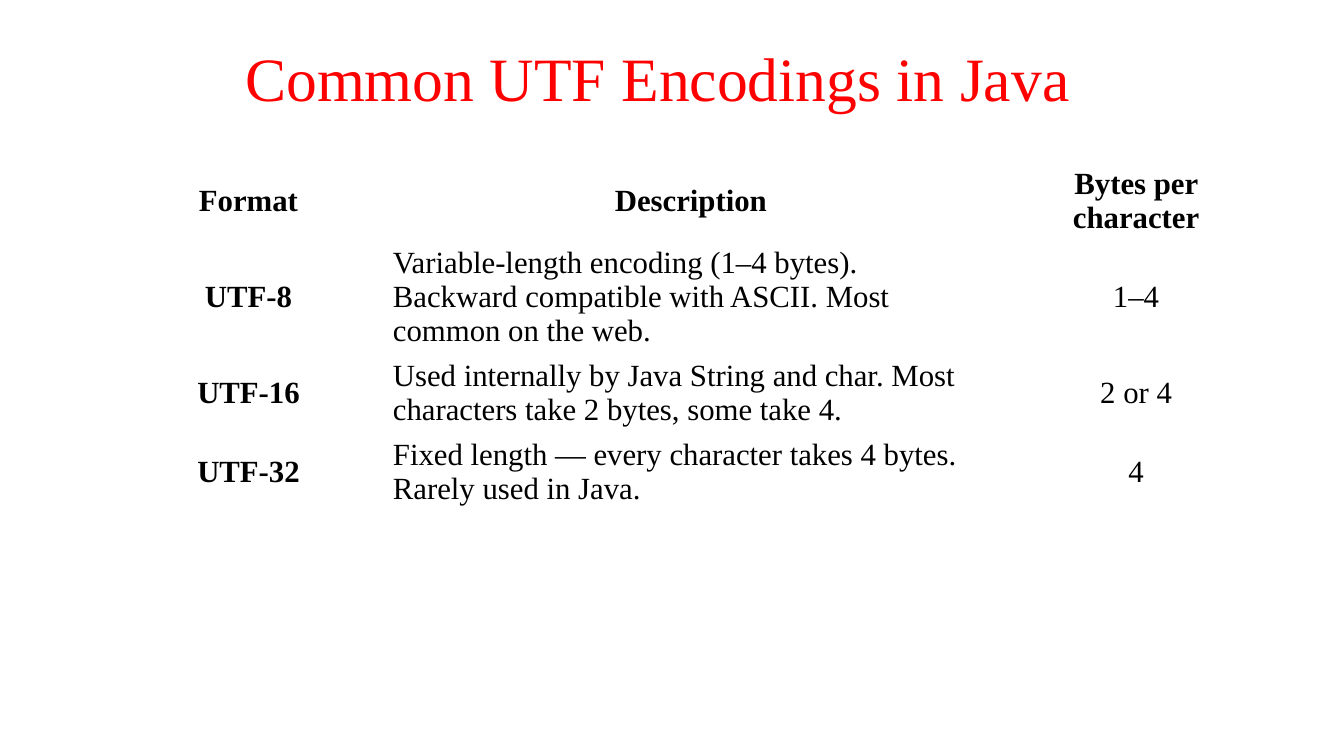
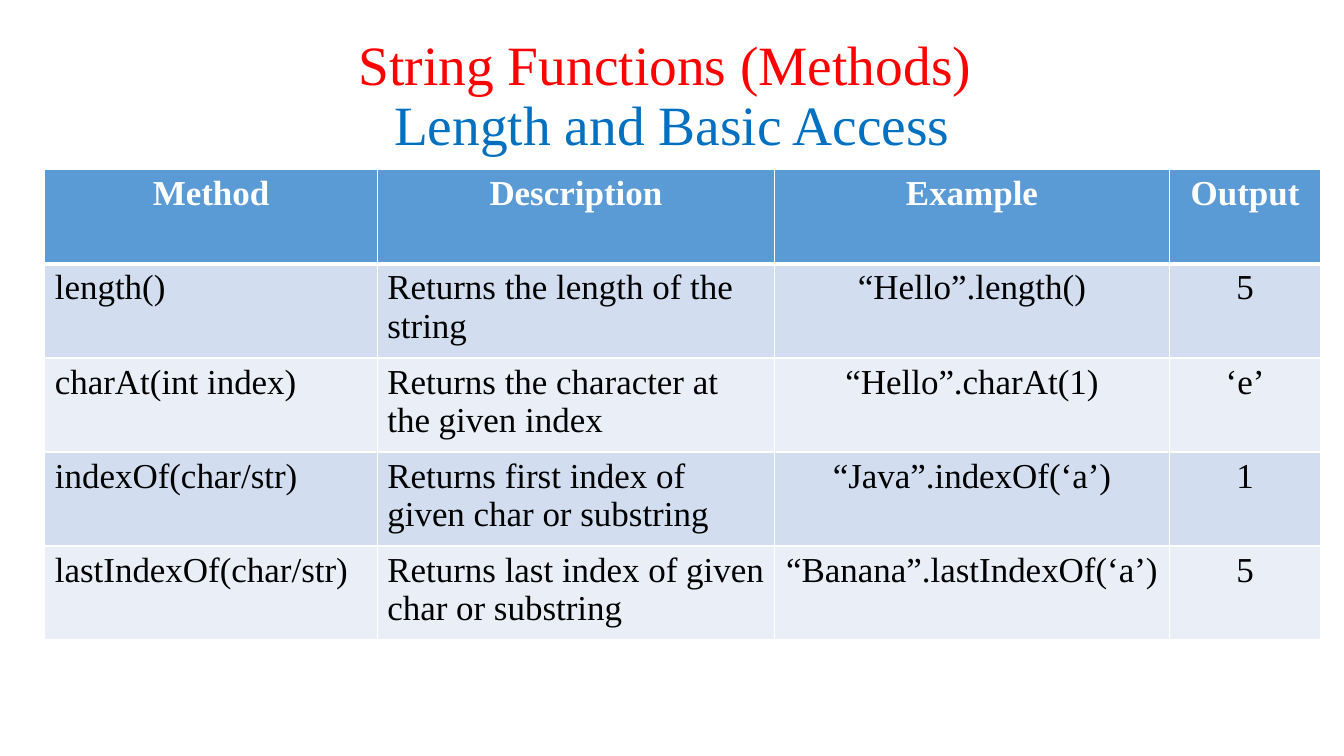
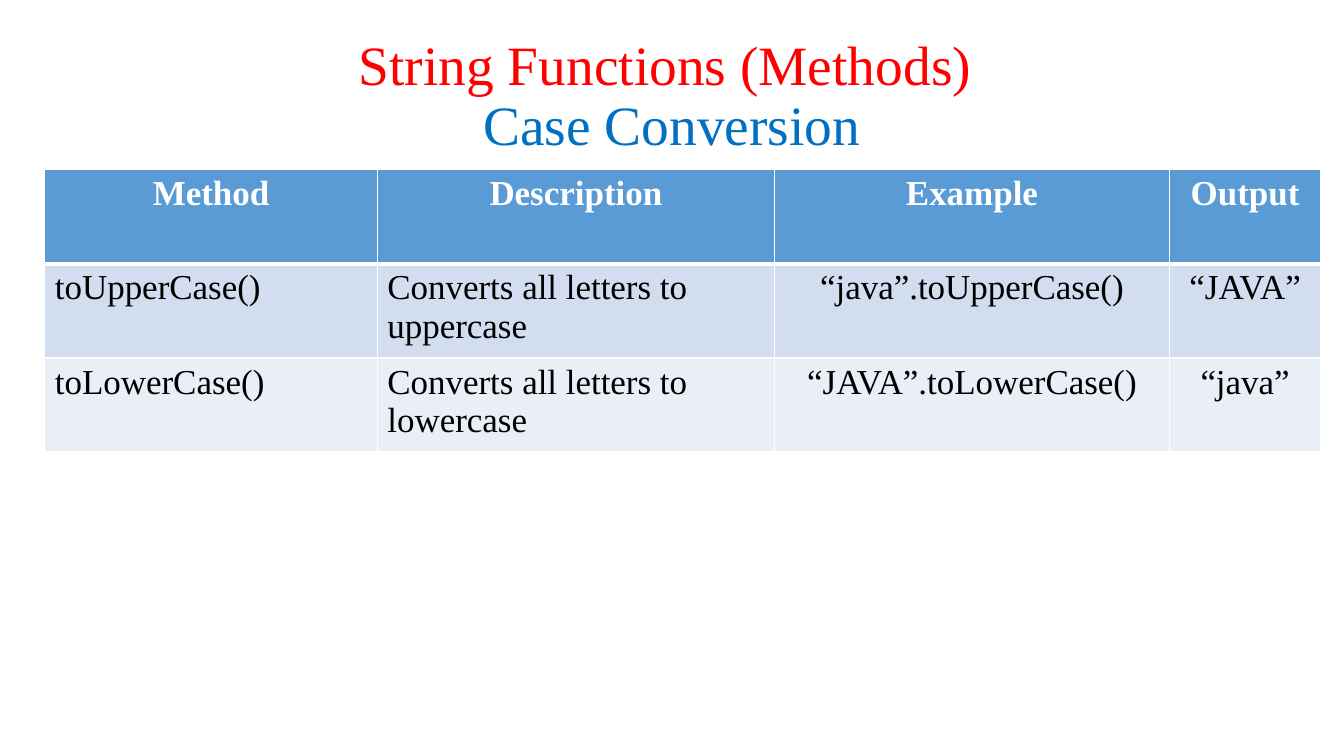
"""Build three slides about text encodings and string methods in Java."""
from dataclasses import dataclass

from lxml.etree import SubElement
from pptx import Presentation
from pptx.dml.color import RGBColor
from pptx.enum.text import MSO_ANCHOR, MSO_AUTO_SIZE, PP_ALIGN
from pptx.oxml.ns import qn
from pptx.util import Pt


@dataclass(frozen=True)
class Theme:
    """Hold the colours, the font and the type sizes."""
    font: str = "Times New Roman"
    red: RGBColor = RGBColor(0xFF, 0x00, 0x00)
    blue: RGBColor = RGBColor(0x00, 0x70, 0xC0)
    black: RGBColor = RGBColor(0x00, 0x00, 0x00)
    white: RGBColor = RGBColor(0xFF, 0xFF, 0xFF)
    head: RGBColor = RGBColor(0x5B, 0x9B, 0xD5)
    bands: tuple = (RGBColor(0xD2, 0xDE, 0xEF), RGBColor(0xEA, 0xEF, 0xF7))
    large: float = 44
    title: float = 39.6
    cell: float = 25
    small: float = 22
    plain: str = "{2D5ABB26-0587-4C30-8999-92F81FD0307C}"


def write(par, text, size, color, font, bold=False, align=PP_ALIGN.CENTER):
    """Add a formatted run to a paragraph."""
    par.alignment = align
    run = par.add_run()
    run.text = text
    run.font.name = font
    run.font.size = Pt(size)
    run.font.bold = bold
    run.font.color.rgb = color


def edge(cell, side, width, color):
    """Draw one border of a cell."""
    line = SubElement(cell._tc.get_or_add_tcPr(), qn(f"a:ln{side}"), w=str(Pt(width)))
    fill = SubElement(line, qn("a:solidFill"))
    SubElement(fill, qn("a:srgbClr"), val=str(color))


class Deck:
    """Hold the theme and the current slide."""

    def __init__(self, theme):
        self.theme = theme
        self.show = Presentation()
        self.show.slide_width, self.show.slide_height = Pt(960), Pt(540)
        self.slide = None

    def page(self):
        """Start a slide with a title only."""
        self.slide = self.show.slides.add_slide(self.show.slide_layouts[5])

    def title(self, lines, box, size, anchor=MSO_ANCHOR.MIDDLE, space=1.0):
        """Fill the title with lines of text and colour."""
        shape = self.slide.shapes.title
        shape.left, shape.top, shape.width, shape.height = map(Pt, box)
        frame = shape.text_frame
        frame.auto_size = MSO_AUTO_SIZE.NONE
        frame.word_wrap = True
        frame.vertical_anchor = anchor
        par = frame.paragraphs[0]
        par.line_spacing = space
        for i, (text, color) in enumerate(lines):
            if i:
                par.add_line_break()
            write(par, text, size, color, self.theme.font)

    def grid(self, rows, left, top, cols, highs):
        """Add a table without a style and return it."""
        table = self.slide.shapes.add_table(
            len(rows), len(cols), Pt(left), Pt(top), Pt(sum(cols)), Pt(sum(highs))
        ).table
        table._tbl.tblPr.find(qn("a:tableStyleId")).text = self.theme.plain
        table.horz_banding = False
        for col, width in zip(table.columns, cols):
            col.width = Pt(width)
        for row, high in zip(table.rows, highs):
            row.height = Pt(high)
        return table

    def forms(self, rows):
        """Add the open table of encodings."""
        look = self.theme
        table = self.grid(rows, 81.5, 116, (192, 440, 196), (56, 81, 56, 56))
        for r, row in enumerate(rows):
            for c, text in enumerate(row):
                cell = table.cell(r, c)
                cell.fill.background()
                cell.vertical_anchor = MSO_ANCHOR.MIDDLE
                align = PP_ALIGN.LEFT if r and c == 1 else PP_ALIGN.CENTER
                write(cell.text_frame.paragraphs[0], text, look.small, look.black,
                      look.font, bold=r == 0 or c == 0, align=align)

    def calls(self, rows):
        """Add the banded table of methods."""
        look = self.theme
        rows = [("Method", "Description", "Example", "Output"), *rows]
        table = self.grid(rows, 32, 121.3, (237.5, 283.7, 282.2, 108), [67.2] * len(rows))
        for r, row in enumerate(rows):
            for c, text in enumerate(row):
                cell = table.cell(r, c)
                sides = {"L": 1, "R": 1, "T": 3 if r == 1 else 1, "B": 1 if r else 3}
                for side, width in sides.items():
                    edge(cell, side, width, look.white)
                cell.fill.solid()
                cell.fill.fore_color.rgb = look.bands[(r - 1) % 2] if r else look.head
                align = PP_ALIGN.LEFT if r and c < 2 else PP_ALIGN.CENTER
                write(cell.text_frame.paragraphs[0], text, look.cell,
                      look.black if r else look.white, look.font,
                      bold=r == 0, align=align)

    def methods(self, topic, rows):
        """Add a slide on one group of string methods."""
        look = self.theme
        self.page()
        self.title([("String Functions (Methods) ", look.red), (topic, look.blue)],
                   (66, 29, 828, 81), look.title, space=0.9)
        self.calls(rows)


def main():
    """Build and save the slides."""
    look = Theme()
    deck = Deck(look)
    deck.page()
    deck.title([("Common UTF Encodings in Java", look.red)],
               (66, 25, 808, 80), look.large, anchor=MSO_ANCHOR.TOP)
    deck.forms([
        ("Format", "Description", "Bytes per character"),
        ("UTF-8", "Variable-length encoding (1–4 bytes). Backward compatible "
                  "with ASCII. Most common on the web.", "1–4"),
        ("UTF-16", "Used internally by Java String and char. Most characters "
                   "take 2 bytes, some take 4.", "2 or 4"),
        ("UTF-32", "Fixed length — every character takes 4 bytes. "
                   "Rarely used in Java.", "4"),
    ])
    deck.methods("Length and Basic Access", [
        ("length()", "Returns the length of the string", "“Hello”.length()", "5"),
        ("charAt(int index)", "Returns the character at the given index",
         "“Hello”.charAt(1)", "‘e’"),
        ("indexOf(char/str)", "Returns first index of given char or substring",
         "“Java”.indexOf(‘a’)", "1"),
        ("lastIndexOf(char/str)", "Returns last index of given char or substring",
         "“Banana”.lastIndexOf(‘a’)", "5"),
    ])
    deck.methods("Case Conversion", [
        ("toUpperCase()", "Converts all letters to uppercase",
         "“java”.toUpperCase()", "“JAVA”"),
        ("toLowerCase()", "Converts all letters to lowercase",
         "“JAVA”.toLowerCase()", "“java”"),
    ])
    deck.show.save("out.pptx")


if __name__ == "__main__":
    main()
